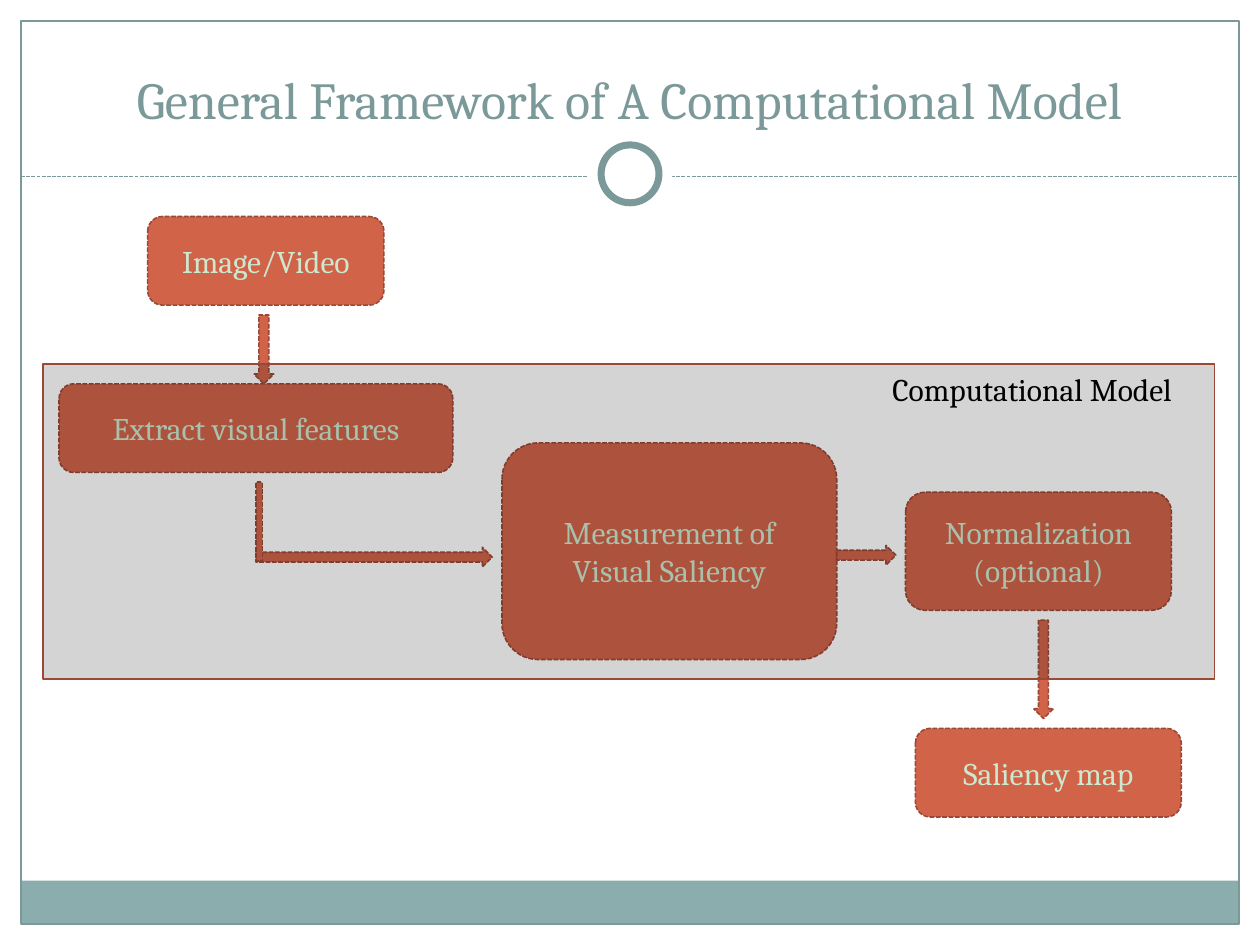
from dataclasses import dataclass

from pptx import Presentation
from pptx.dml.color import RGBColor as Rgb
from pptx.enum.dml import MSO_LINE as Dash
from pptx.enum.shapes import MSO_CONNECTOR as Link, MSO_SHAPE as Kind
from pptx.enum.text import MSO_ANCHOR as Anchor, PP_ALIGN as Align
from pptx.oxml.ns import qn
from pptx.util import Inches, Pt
from lxml.etree import SubElement as Sub

COLS, ROWS = 64, 48
WIDE, HIGH = Inches(10), Inches(7.5)


@dataclass(frozen=True)
class Theme:
    font: str = "Cambria"
    white: str = "FFFFFF"
    black: str = "000000"
    teal: str = "7C999A"
    band: str = "8CADAE"
    rust: str = "D16349"
    edge: str = "9B4936"
    mint: str = "CCE8CF"
    title: float = 29.7
    body: float = 18
    thin: float = 0.75
    rim: float = 0.9
    ring: float = 4


LOOK = Theme()


def span(cols, rows):
    return int(WIDE * cols / COLS), int(HIGH * rows / ROWS)


def within(box, x, y, w, h):
    """Turn a place relative to a box into a place on the slide grid."""
    return box[0] + x, box[1] + y, w, h


def emu(box):
    return span(*box[:2]) + span(*box[2:])


def stroke(line, tint, width, dash=None):
    line.color.rgb = Rgb.from_string(tint)
    line.width = Pt(width)
    if dash:
        line.dash_style = dash


def draw(slide, kind, box, fill=None, edge=None, width=LOOK.rim, dash=None):
    shape = slide.shapes.add_shape(kind, *emu(box))
    shape.shadow.inherit = False
    if fill:
        shape.fill.solid()
        shape.fill.fore_color.rgb = Rgb.from_string(fill)
    else:
        shape.fill.background()
    if edge:
        stroke(shape.line, edge, width, dash)
    else:
        shape.line.fill.background()
    return shape


def write(frame, paras, size, tint, align, anchor):
    """Fill a frame; a newline inside a paragraph is a line break."""
    frame.word_wrap = True
    frame.vertical_anchor = anchor
    for i, text in enumerate(paras):
        para = frame.add_paragraph() if i else frame.paragraphs[0]
        para.alignment = align
        for j, part in enumerate(text.split("\n")):
            if j:
                para.add_line_break()
            run = para.add_run()
            run.text = part
            run.font.name = LOOK.font
            run.font.size = Pt(size)
            run.font.color.rgb = Rgb.from_string(tint)


def label(slide, box, text, size, tint, align, anchor):
    area = slide.shapes.add_textbox(*emu(box))
    write(area.text_frame, [text], size, tint, align, anchor)


def border(slide, box):
    x, y, w, h = box
    foot, rule = 2.2, 7.9
    draw(slide, Kind.RECTANGLE, (x, y + h - foot, w, foot), LOOK.band)
    draw(slide, Kind.RECTANGLE, box, None, LOOK.teal, LOOK.thin)
    line = slide.shapes.add_connector(
        Link.STRAIGHT, *span(x, y + rule), *span(x + w, y + rule))
    stroke(line.line, LOOK.teal, LOOK.thin, Dash.SQUARE_DOT)
    Sub(line._element.spPr, qn("a:effectLst"))
    for size, edge in ((4.3, None), (2.94, LOOK.teal)):
        spot = within(box, (w - size) / 2, rule - 0.14 - size / 2, size, size)
        draw(slide, Kind.OVAL, spot, LOOK.white, edge, LOOK.ring)


def flow(slide, box):
    nodes = (
        (["Image/Video"], 4.5, 0, 12, 4.5),
        (["Extract visual features"], 0, 8.5, 20, 4.5),
        (["Measurement of\nVisual Saliency"], 22.5, 11.5, 17, 11),
        (["Normalization", "(optional)"], 43, 14, 13.5, 6),
        (["Saliency map"], 43.5, 26, 13.5, 4.5),
    )
    links = (
        (Kind.DOWN_ARROW, 9.9, 5, 1, 3.5),
        (Kind.DOWN_ARROW, 49.5, 20.5, 1, 5),
        (Kind.RIGHT_ARROW, 39.5, 16.7, 3, 1),
        (Kind.RIGHT_ARROW, 10, 16.8, 12, 1),
        (Kind.RECTANGLE, 10, 13.5, 0.33, 4),
    )
    style = LOOK.rust, LOOK.edge, LOOK.rim, Dash.SQUARE_DOT
    for paras, *spot in nodes:
        node = draw(slide, Kind.ROUNDED_RECTANGLE, within(box, *spot), *style)
        write(node.text_frame, paras, LOOK.body, LOOK.mint,
              Align.CENTER, Anchor.MIDDLE)
    for kind, *spot in links:
        draw(slide, kind, within(box, *spot), *style)


def panel(slide, box):
    """Lay a see-through pane with its caption over the flow."""
    pane = draw(slide, Kind.RECTANGLE, box, LOOK.black, LOOK.edge)
    tint = pane._element.spPr.find(qn("a:solidFill"))[0]
    Sub(tint, qn("a:alpha"), val="17000")
    label(slide, within(box, 42.5, 0, 16.8, 2.56), "Computational Model",
          LOOK.body, LOOK.black, Align.LEFT, Anchor.TOP)


def main():
    deck = Presentation()
    deck.slide_width, deck.slide_height = WIDE, HIGH
    slide = deck.slides.add_slide(deck.slide_layouts[6])
    slide.background.fill.solid()
    slide.background.fill.fore_color.rgb = Rgb.from_string(LOOK.white)
    border(slide, (1.07, 1.07, 61.86, 45.86))
    label(slide, (2.15, 1.6, 59.7, 5.3),
          "General Framework of A Computational Model",
          LOOK.title, LOOK.teal, Align.CENTER, Anchor.BOTTOM)
    flow(slide, (3, 11, 57, 30.5))
    panel(slide, (2.2, 18.5, 59.5, 16))
    deck.save("out.pptx")


if __name__ == "__main__":
    main()
